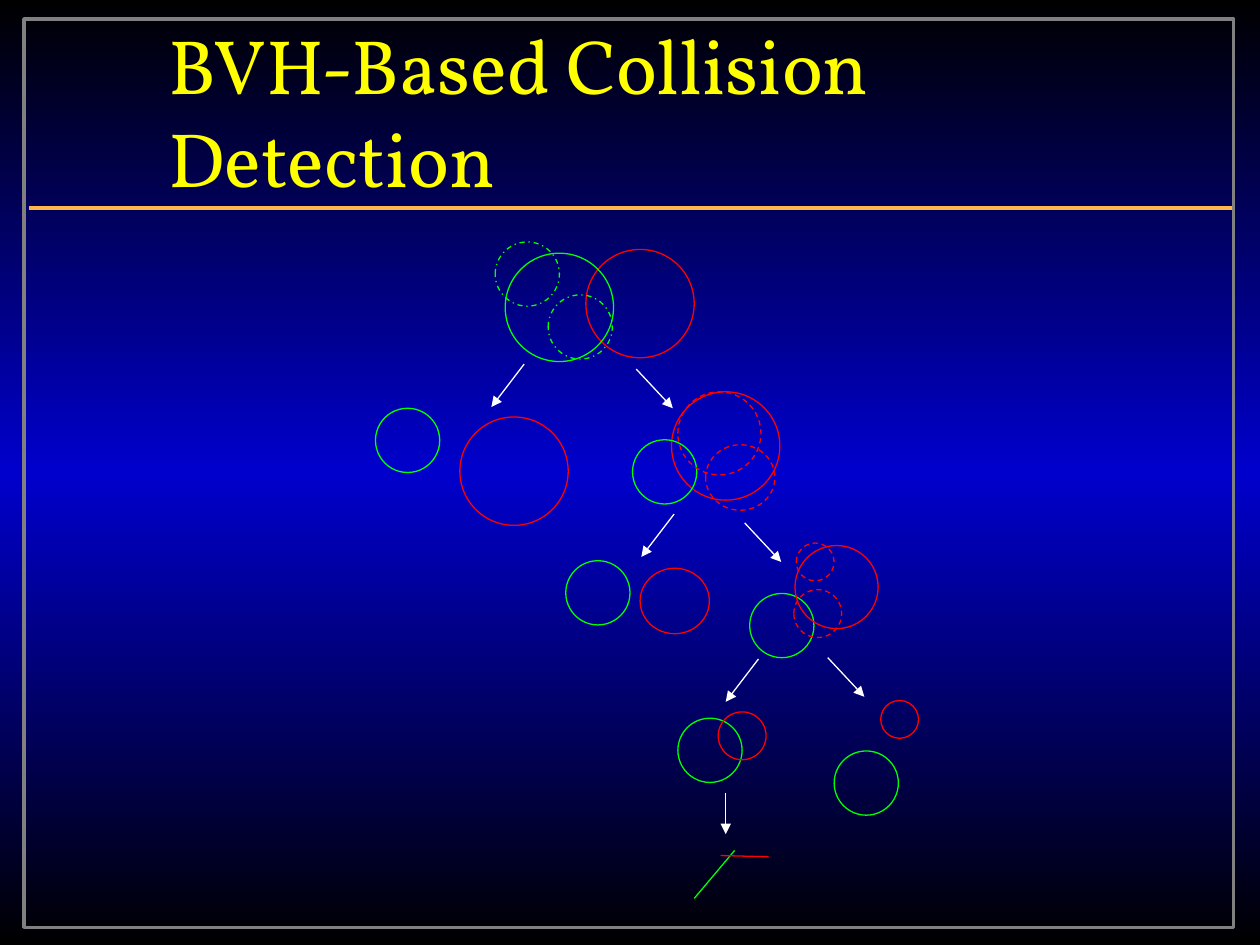
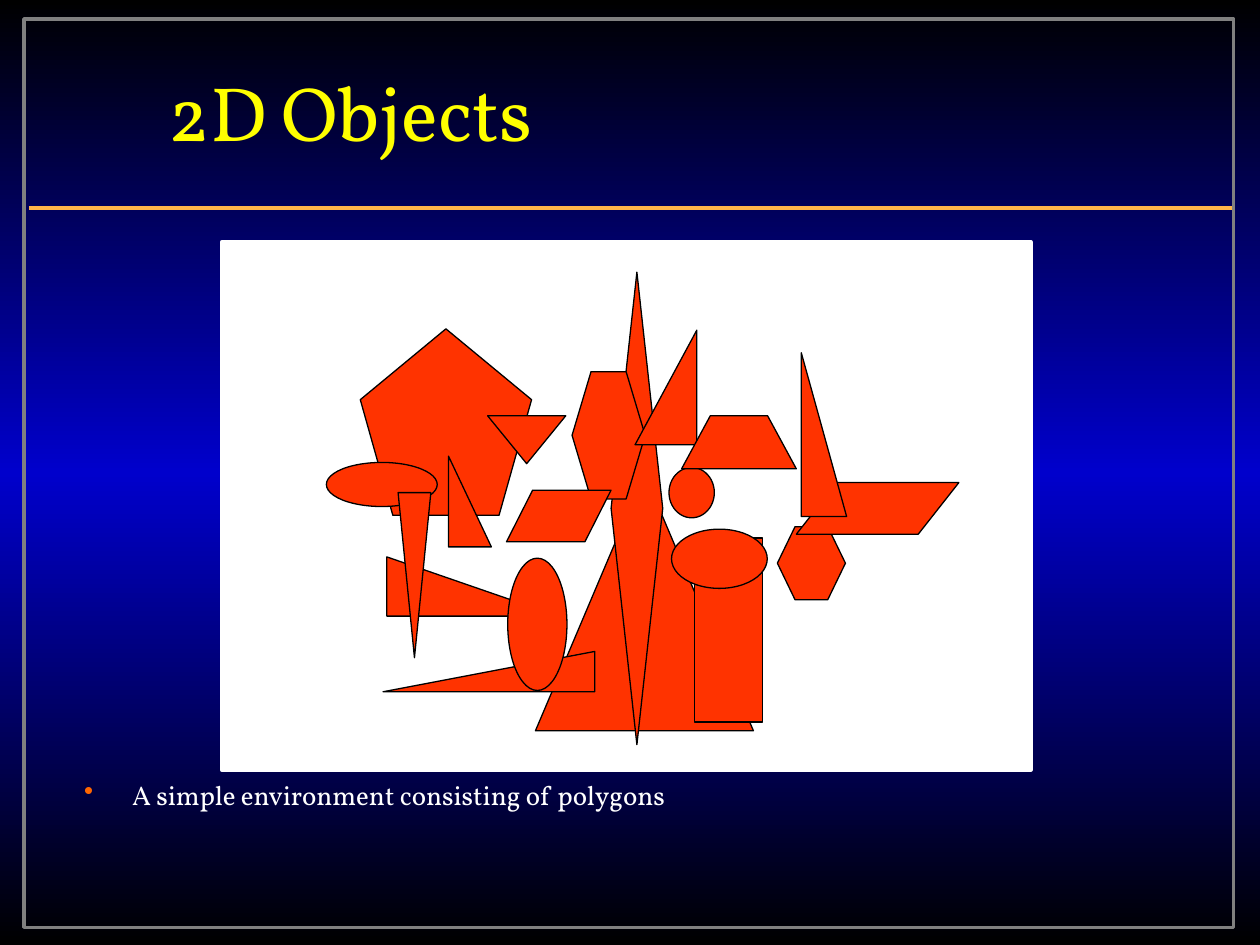
from copy import deepcopy
from dataclasses import dataclass

from lxml.etree import SubElement
from pptx import Presentation
from pptx.dml.color import RGBColor
from pptx.enum.dml import MSO_LINE
from pptx.enum.shapes import MSO_CONNECTOR, MSO_SHAPE
from pptx.enum.text import MSO_ANCHOR, PP_ALIGN
from pptx.oxml.ns import qn
from pptx.util import Inches, Pt

COLUMNS, ROWS = 100, 75


@dataclass(frozen=True)
class Theme:
    font: str = "Vollkorn"
    title_size: float = 44
    body_size: float = 15.4
    edge: str = "000000"
    glow: str = "0000CC"
    frame: str = "808080"
    rule: str = "FFB549"
    title: str = "FFFF00"
    body: str = "FFFFFF"
    bullet: str = "FF6600"
    canvas: str = "FFFFFF"
    arrow: str = "FFFFFF"
    green: str = "00FF00"
    red: str = "FF0000"
    polygon: str = "FF3300"
    outline: str = "000000"
    thin: float = 0.75
    medium: float = 2
    thick: float = 2.25


def apply(target, values):
    for name, value in values.items():
        setattr(target, name, value)


class Painter:
    """Draws on the current slide; lengths are columns and rows of a 100 by 75 grid."""

    def __init__(self, deck, theme):
        self.deck, self.theme = deck, theme
        self.cell_width = deck.slide_width / COLUMNS
        self.cell_height = deck.slide_height / ROWS

    def place(self, *lengths):
        """Turn alternating columns and rows into slide units."""
        cells = (self.cell_width, self.cell_height)
        return [round(length * cells[index % 2]) for index, length in enumerate(lengths)]

    def add_page(self, title):
        theme = self.theme
        self.page = self.deck.slides.add_slide(self.deck.slide_layouts[6])
        self.paint_background()
        self.shape(MSO_SHAPE.RECTANGLE, (1.9, 1.5, 96, 72.1), theme.frame, theme.medium)
        self.line((2.3, 16.5), (97.8, 16.5), theme.rule, theme.medium)
        self.text(title, (12.4, 2.5, 74.2, 12.5), theme.title_size, theme.title,
                  anchor=MSO_ANCHOR.MIDDLE)

    def paint_background(self):
        fill = self.page.background.fill
        fill.gradient()
        fill.gradient_angle = 90
        stop_list = self.page.element.xpath(".//p:bg//a:gsLst")[0]
        stop_list.append(deepcopy(stop_list[-1]))
        colors = (self.theme.edge, self.theme.glow, self.theme.edge)
        for stop, color, position in zip(fill.gradient_stops, colors, (0, 0.5, 1)):
            stop.color.rgb = RGBColor.from_string(color)
            stop.position = position

    def stroke(self, item, color, width, dash=None):
        item.line.color.rgb = RGBColor.from_string(color)
        apply(item.line, {"width": Pt(width), "dash_style": dash})

    def finish(self, item, color, width, dash, fill):
        item.shadow.inherit = False
        self.stroke(item, color, width, dash)
        if fill:
            item.fill.solid()
            item.fill.fore_color.rgb = RGBColor.from_string(fill)
        else:
            item.fill.background()

    def shape(self, kind, area, color, width, dash=None, fill=None):
        item = self.page.shapes.add_shape(kind, *self.place(*area))
        self.finish(item, color, width, dash, fill)

    def polygon(self, outline, area, color, width, fill):
        """Stretch an outline, given in shares of its area, over that area."""
        left, top, across, down = area
        points = [self.place(left + x * across, top + y * down) for x, y in outline]
        builder = self.page.shapes.build_freeform(*points[0])
        builder.add_line_segments(points[1:], close=True)
        self.finish(builder.convert_to_shape(), color, width, None, fill)

    def line(self, start, end, color, width, arrow=False):
        connector = self.page.shapes.add_connector(
            MSO_CONNECTOR.STRAIGHT, *self.place(*start, *end))
        self.stroke(connector, color, width)
        if arrow:
            SubElement(connector.line._get_or_add_ln(), qn("a:tailEnd"), type="triangle")
        SubElement(connector.element.spPr, qn("a:effectLst"))

    def text(self, words, area, size, color, anchor=MSO_ANCHOR.TOP):
        box = self.page.shapes.add_textbox(*self.place(*area))
        apply(box.text_frame, {"word_wrap": True, "vertical_anchor": anchor})
        para = box.text_frame.paragraphs[0]
        para.alignment = PP_ALIGN.LEFT
        span = para.add_run()
        span.text = words
        apply(span.font, {"name": self.theme.font, "size": Pt(size)})
        span.font.color.rgb = RGBColor.from_string(color)
        return para

    def bullet(self, words, area):
        para = self.text(words, area, self.theme.body_size, self.theme.body)
        apply(para, {"line_spacing": 0.7, "space_before": Pt(7)})
        properties = para._p.get_or_add_pPr()
        indent = Inches(0.38)
        properties.set("marL", str(indent))
        properties.set("indent", str(-indent))
        bullet_color = SubElement(properties, qn("a:buClr"))
        SubElement(bullet_color, qn("a:srgbClr"), val=self.theme.bullet)
        SubElement(properties, qn("a:buChar"), char="•")


# Bounding circles: width and height
ROOT, HALF, LOW_HALF = (8.6, 8.6), (6.6, 6.6), (5.5, 5.2)
GREEN_PART, SMALL, TINY = (5.1, 5.1), (3.8, 3.8), (3, 3)

# Dash style, colour, size and the top left corners
CIRCLES = [
    (None, "red", ROOT, [(53.3, 31.1), (36.5, 33.1), (46.5, 19.8)]),
    (None, "green", ROOT, [(40.1, 20.1)]),
    (None, "green", GREEN_PART, [(29.8, 32.4), (50.2, 34.9), (44.9, 44.5),
                                 (59.5, 47.1), (53.8, 57), (66.2, 59.6)]),
    (MSO_LINE.DASH_DOT, "green", GREEN_PART, [(39.3, 19.2), (43.5, 23.4)]),
    (MSO_LINE.DASH, "red", HALF, [(53.8, 31.1)]),
    (MSO_LINE.DASH, "red", LOW_HALF, [(56, 35.3)]),
    (None, "red", LOW_HALF, [(50.8, 45.1)]),
    (None, "red", HALF, [(63.1, 43.3)]),
    (MSO_LINE.DASH, "red", TINY, [(63.2, 43.1)]),
    (MSO_LINE.DASH, "red", SMALL, [(63, 46.8)]),
    (None, "red", SMALL, [(57, 56.5)]),
    (None, "red", TINY, [(69.9, 55.6)]),
]

# Step of an arrow and the points where such arrows start
BRANCHES = [
    ((-2.6, 3.4), [(41.6, 28.9), (53.5, 40.8), (60.2, 52.3)]),
    ((2.9, 3.1), [(50.5, 29.3), (59.1, 41.5), (65.7, 52.2)]),
    ((0, 3.3), [(57.6, 62.9)]),
]

OUTLINES = {
    "pentagon": [(0.5, 0), (0, 0.38), (0.19, 1), (0.81, 1), (1, 0.38)],
    "hexagon": [(0.26, 0), (0, 0.5), (0.26, 1), (0.74, 1), (1, 0.5), (0.74, 0)],
    "diamond": [(0.5, 0), (0, 0.5), (0.5, 1), (1, 0.5)],
    "trapezoid": [(0, 1), (0.25, 0), (0.75, 0), (1, 1)],
    "parallelogram": [(0.25, 0), (0, 1), (0.75, 1), (1, 0)],
    "triangle up": [(0.5, 0), (0, 1), (1, 1)],
    "triangle down": [(0.5, 1), (0, 0), (1, 0)],
    "corner left": [(0, 0), (0, 1), (1, 1)],
    "corner right": [(1, 0), (1, 1), (0, 1)],
}
PRESETS = {"ellipse": MSO_SHAPE.OVAL, "rectangle": MSO_SHAPE.RECTANGLE}

# From back to front
OBJECTS = [
    ("pentagon", (28.6, 26.1, 13.6, 14.8)),
    ("triangle up", (42.5, 37.6, 17.3, 20.4)),
    ("ellipse", (25.9, 36.7, 8.8, 3.5)),
    ("ellipse", (53.1, 37.1, 3.6, 4)),
    ("corner left", (35.6, 36.2, 3.4, 7.2)),
    ("hexagon", (61.7, 41.8, 5.4, 5.8)),
    ("corner left", (30.7, 44.2, 13.6, 4.7)),
    ("parallelogram", (63.2, 38.3, 12.9, 4.1)),
    ("corner right", (30.4, 51.7, 16.8, 3.2)),
    ("triangle down", (38.7, 33, 6.2, 3.8)),
    ("diamond", (48.5, 21.6, 4.1, 37.5)),
    ("hexagon", (45.4, 29.5, 5.8, 10.1)),
    ("corner right", (50.4, 26.2, 4.9, 9.1)),
    ("trapezoid", (54.1, 33, 9.1, 4.2)),
    ("corner left", (63.6, 28, 3.6, 13)),
    ("parallelogram", (40.2, 38.9, 8.3, 4.1)),
    ("rectangle", (55.1, 42.7, 5.4, 14.6)),
    ("ellipse", (53.3, 42, 7.6, 4.7)),
    ("triangle down", (31.6, 39.1, 2.6, 13.1)),
    ("ellipse", (40.3, 44.3, 4.7, 10.5)),
]


def draw_collision_tree(painter):
    theme = painter.theme
    painter.add_page("BVH-Based Collision Detection")
    for dash, color, size, corners in CIRCLES:
        for corner in corners:
            painter.shape(MSO_SHAPE.OVAL, corner + size, getattr(theme, color), theme.thin, dash)
    painter.line((55.1, 71.3), (58.3, 67.5), theme.green, theme.thin)
    painter.line((57.2, 67.9), (61, 68), theme.red, theme.thin)
    for (across, down), starts in BRANCHES:
        for x, y in starts:
            painter.line((x, y), (x + across, y + down), theme.arrow, theme.thin, arrow=True)


def draw_objects(painter):
    theme = painter.theme
    painter.add_page("2D Objects")
    painter.bullet("A simple environment consisting of polygons", (5.7, 62, 94.3, 3.1))
    painter.shape(MSO_SHAPE.RECTANGLE, (17.6, 19.2, 64.2, 41.9), theme.canvas, theme.thick,
                  fill=theme.canvas)
    for kind, area in OBJECTS:
        if kind in PRESETS:
            painter.shape(PRESETS[kind], area, theme.outline, theme.thin, fill=theme.polygon)
        else:
            painter.polygon(OUTLINES[kind], area, theme.outline, theme.thin, theme.polygon)


def main():
    deck = Presentation()
    apply(deck, {"slide_width": Inches(10), "slide_height": Inches(7.5)})
    painter = Painter(deck, Theme())
    draw_collision_tree(painter)
    draw_objects(painter)
    deck.save("out.pptx")


if __name__ == "__main__":
    main()
